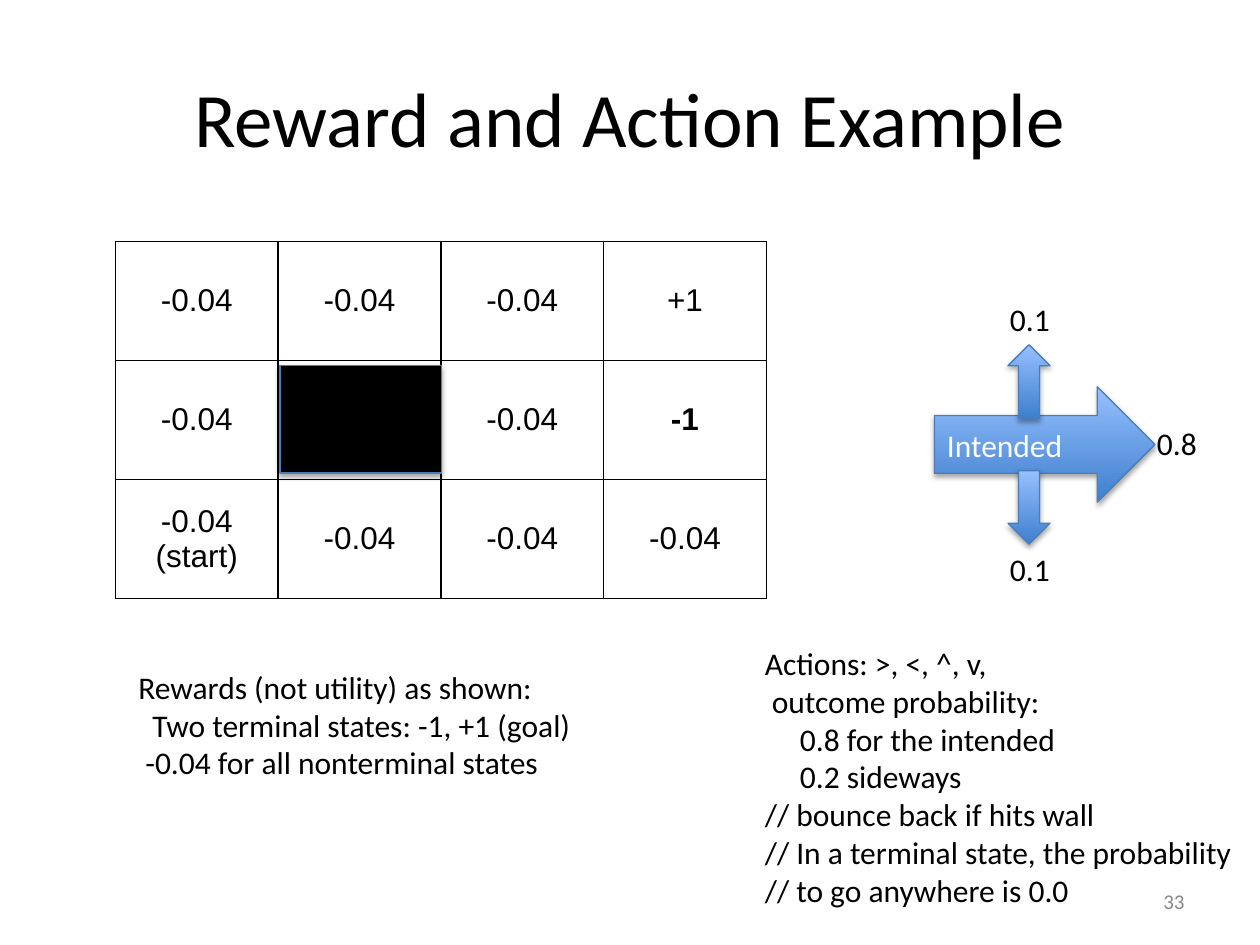
from pptx import Presentation
from pptx.dml.color import RGBColor
from pptx.enum.shapes import MSO_SHAPE
from pptx.enum.text import MSO_ANCHOR, PP_ALIGN
from pptx.oxml import parse_xml
from pptx.oxml.ns import nsdecls, qn
from pptx.util import Pt

COLORS = {"black": "000000", "white": "FFFFFF", "gray": "888888",
          "deep": "3E7FCD", "light": "96C0FF", "edge": "4A7DBA"}

TITLE = "Reward and Action Example"
PAGE_NUMBER = "33"
REWARDS = [
    ["-0.04", "-0.04", "-0.04", "+1"],
    ["-0.04", "", "-0.04", "-1"],
    ["-0.04\n(start)", "-0.04", "-0.04", "-0.04"],
]
BOLD_REWARD = "-1"
GRID_LEFT, GRID_TOP, COLUMN_WIDTH, ROW_HEIGHT = 66, 138, 93, 68

# (text, indent in points)
ACTION_NOTES = [
    ("Actions: >, <, ^, v,", 0),
    ("outcome probability:", 4),
    ("0.8 for the intended", 20),
    ("0.2 sideways", 20),
    ("// bounce back if hits wall", 0),
    ("// In a terminal state, the probability", 0),
    ("// to go anywhere is 0.0", 0),
]
REWARD_NOTES = [
    ("Rewards (not utility) as shown:", 0),
    ("Two terminal states: -1, +1 (goal)", 8),
    ("-0.04 for all nonterminal states", 4),
]
ARROWS = [
    (MSO_SHAPE.RIGHT_ARROW, (534, 221, 126, 66), "Intended"),
    (MSO_SHAPE.UP_ARROW, (576, 197, 24, 42), ""),
    (MSO_SHAPE.DOWN_ARROW, (576, 269, 24, 42), ""),
]
PROBABILITIES = [("0.8", 654, 239), ("0.1", 570, 168), ("0.1", 570, 311)]
WALL_BOX = (160, 208.8, 92.5, 61.5)


def color(name):
    """Return the named colour."""
    return RGBColor.from_string(COLORS[name])


def set_font(paragraph, size=18, name="Calibri", tint="black"):
    """Set the font of a whole paragraph."""
    paragraph.font.size = Pt(size)
    paragraph.font.name = name
    paragraph.font.color.rgb = color(tint)


def add_lines(shapes, lines, box, align=PP_ALIGN.LEFT, size=18, tint="black"):
    """Add a text box with one paragraph for each indented line."""
    frame = shapes.add_textbox(*map(Pt, box)).text_frame
    frame.word_wrap = False
    frame.text = "\n".join(text for text, _ in lines)
    for paragraph, (_, indent) in zip(frame.paragraphs, lines):
        paragraph.alignment = align
        if indent:
            paragraph._p.get_or_add_pPr().set("marL", str(Pt(indent)))
        set_font(paragraph, size, tint=tint)
    return frame


def add_raised(shapes, kind, box):
    """Add an outlined shape with a soft shadow below it."""
    raised = shapes.add_shape(kind, *map(Pt, box))
    raised.line.color.rgb = color("edge")
    raised.line.width = Pt(0.75)
    raised.shadow.inherit = False
    raised._element.spPr.find(qn("a:effectLst")).append(parse_xml(
        f'<a:outerShdw {nsdecls("a")} blurRad="{Pt(3.1)}" dist="{Pt(1.8)}" '
        f'dir="5400000" rotWithShape="0"><a:srgbClr val="{COLORS["black"]}">'
        '<a:alpha val="35000"/></a:srgbClr></a:outerShdw>'))
    return raised


def add_borders(cell):
    """Draw a thin line on every side of a cell."""
    properties = cell._tc.get_or_add_tcPr()
    for side in ("lnL", "lnR", "lnT", "lnB"):
        properties.append(parse_xml(
            f'<a:{side} {nsdecls("a")} w="{Pt(1)}"><a:solidFill>'
            f'<a:srgbClr val="{COLORS["black"]}"/></a:solidFill></a:{side}>'))


def add_reward_grid(shapes):
    """Add the table of rewards."""
    rows, columns = len(REWARDS), len(REWARDS[0])
    grid = shapes.add_table(rows, columns, Pt(GRID_LEFT), Pt(GRID_TOP),
                            Pt(columns * COLUMN_WIDTH), Pt(rows * ROW_HEIGHT)).table
    grid.first_row = grid.horz_banding = False
    for row, rewards in enumerate(REWARDS):
        for column, reward in enumerate(rewards):
            cell = grid.cell(row, column)
            add_borders(cell)
            cell.fill.solid()
            cell.fill.fore_color.rgb = color("white")
            cell.vertical_anchor = MSO_ANCHOR.MIDDLE
            cell.text = reward
            for paragraph in cell.text_frame.paragraphs:
                paragraph.alignment = PP_ALIGN.CENTER
                set_font(paragraph, name="Arial")
                paragraph.font.bold = reward == BOLD_REWARD


def add_outcomes(shapes):
    """Add the group of arrows with their probabilities."""
    outcomes = shapes.add_group_shape().shapes
    for kind, box, label in ARROWS:
        arrow = add_raised(outcomes, kind, box)
        arrow.fill.gradient()
        arrow.fill.gradient_angle = 90
        for stop, position, tint in zip(arrow.fill.gradient_stops, (0, 1), ("deep", "light")):
            stop.position = position
            stop.color.rgb = color(tint)
        if label:
            arrow.text_frame.text = label
            set_font(arrow.text_frame.paragraphs[0], tint="white")
    for probability, left, top in PROBABILITIES:
        add_lines(outcomes, [(probability, 0)], (left, top, 37.5, 29))


def main():
    """Build and save the slide."""
    deck = Presentation()
    deck.slide_width, deck.slide_height = Pt(720), Pt(540)
    slide = deck.slides.add_slide(deck.slide_layouts[5])
    shapes = slide.shapes

    title = shapes.title
    title.left, title.top, title.width, title.height = map(Pt, (36, 21.6, 648, 90))
    title.text_frame.text = TITLE
    title.text_frame.vertical_anchor = MSO_ANCHOR.MIDDLE
    title.text_frame.paragraphs[0].alignment = PP_ALIGN.CENTER
    set_font(title.text_frame.paragraphs[0], 44)

    add_reward_grid(shapes)
    page = add_lines(shapes, [(PAGE_NUMBER, 0)], (516, 500.5, 168, 28.75),
                     PP_ALIGN.RIGHT, 12, "gray")
    page.word_wrap = True
    page.vertical_anchor = MSO_ANCHOR.MIDDLE
    add_lines(shapes, ACTION_NOTES, (430, 364.5, 287, 160))
    add_outcomes(shapes)
    add_lines(shapes, REWARD_NOTES, (72, 378, 273, 72.7))

    wall = add_raised(shapes, MSO_SHAPE.RECTANGLE, WALL_BOX)
    wall.fill.solid()
    wall.fill.fore_color.rgb = color("black")

    deck.save("out.pptx")


if __name__ == "__main__":
    main()
